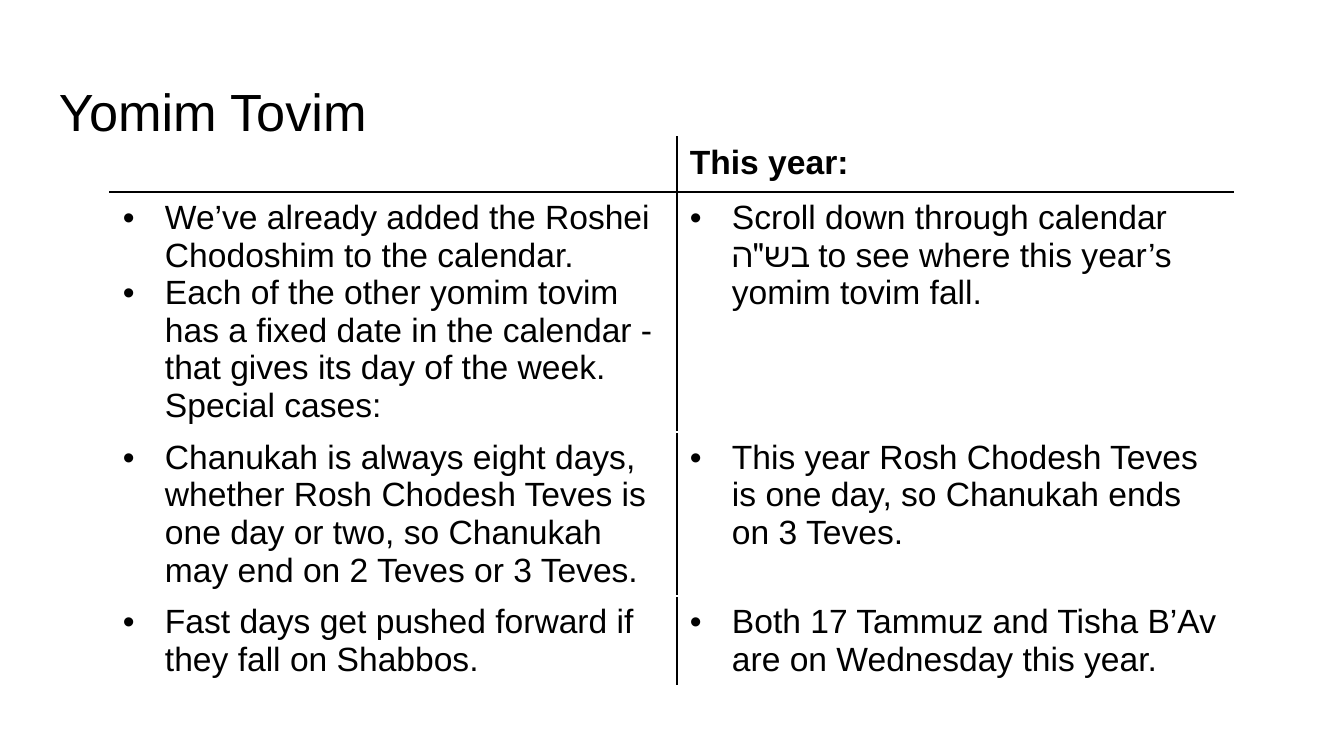
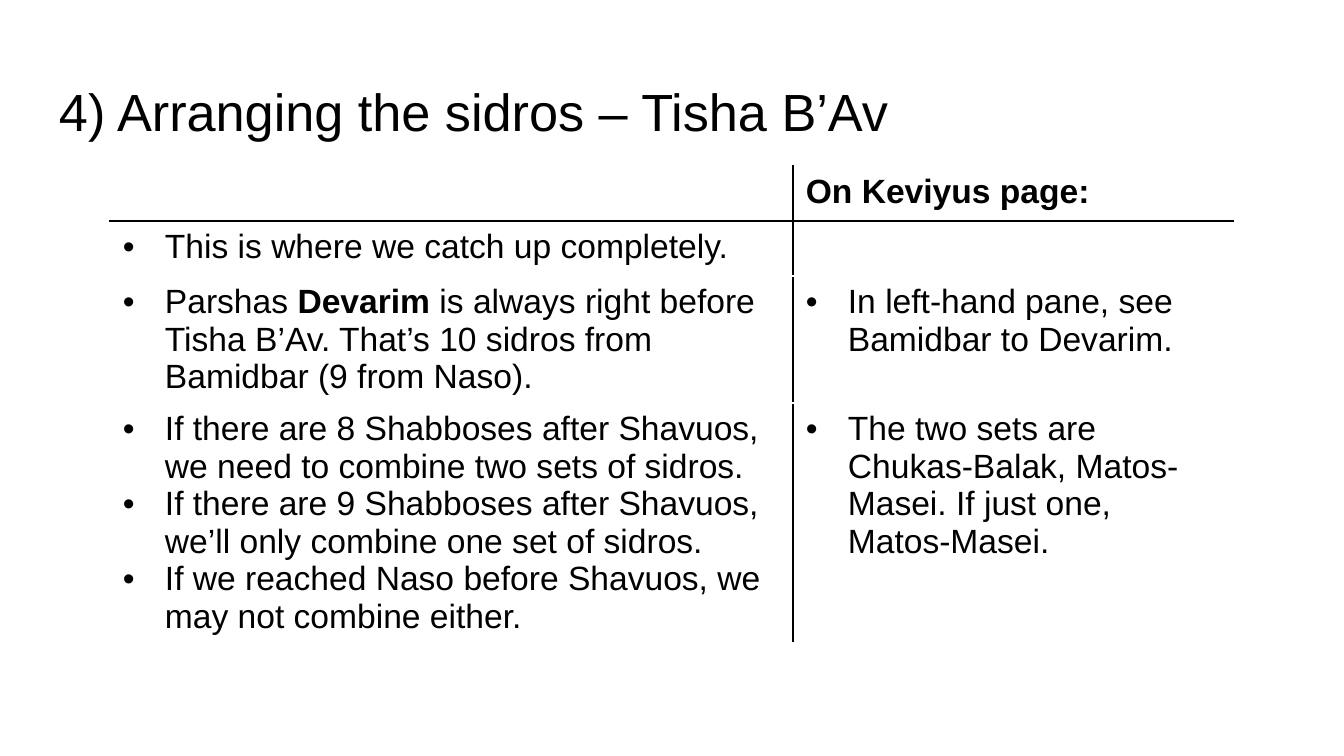
"""Build two slides that pair calendar rules with notes in a ruled table."""
from lxml.etree import SubElement
from pptx import Presentation
from pptx.dml.color import RGBColor
from pptx.enum.text import MSO_ANCHOR, MSO_AUTO_SIZE, PP_ALIGN
from pptx.oxml.ns import qn
from pptx.util import Emu, Pt

FONT = "Arial"
INK = {"text": "000000", "rule": "000000", "paper": "FFFFFF"}
SCALE = 914400 / 134.4
LEFT, ROW, INDENT = 110, 55, 42

SLIDES = [
    {
        "title": "Yomim Tovim",
        "top": 137,
        "high": 620,
        "cols": [567, 556],
        "head": "This year:",
        "rows": [
            (["We’ve already added the Roshei Chodoshim to the calendar.",
              "Each of the other yomim tovim has a fixed date in the calendar - "
              "that gives its day of the week.\nSpecial cases:"],
             ["Scroll down through calendar בש\"ה to see where this year’s "
              "yomim tovim fall."]),
            (["Chanukah is always eight days, whether Rosh Chodesh Teves is one day "
              "or two, so Chanukah may end on 2 Teves or 3 Teves."],
             ["This year Rosh Chodesh Teves is one day, so Chanukah ends on 3 Teves."]),
            (["Fast days get pushed forward if they fall on Shabbos."],
             ["Both 17 Tammuz and Tisha B’Av are on Wednesday this year."]),
        ],
    },
    {
        "title": "4) Arranging the sidros – Tisha B’Av",
        "top": 166,
        "high": 499,
        "cols": [683, 440],
        "head": "On Keviyus page:",
        "rows": [
            (["This is where we catch up completely."], []),
            (["Parshas **Devarim** is always right before Tisha B’Av. "
              "That’s 10 sidros from Bamidbar (9 from Naso)."],
             ["In left-hand pane, see Bamidbar to Devarim."]),
            (["If there are 8 Shabboses after Shavuos, we need to combine two sets "
              "of sidros.",
              "If there are 9 Shabboses after Shavuos, we’ll only combine one set "
              "of sidros.",
              "If we reached Naso before Shavuos, we may not combine either."],
             ["The two sets are Chukas-Balak, Matos-Masei. If just one, Matos-Masei."]),
        ],
    },
]


def px(count):
    return Emu(round(count * SCALE))


def write(para, text, size):
    for part, chunk in enumerate(text.split("**")):
        for step, line in enumerate(chunk.split("\n")):
            if step:
                para.add_line_break()
            if line:
                run = para.add_run()
                run.text = line
                run.font.name = FONT
                run.font.size = Pt(size)
                run.font.bold = part % 2 == 1
                run.font.color.rgb = RGBColor.from_string(INK["text"])


deck = Presentation()
deck.slide_width, deck.slide_height = px(1344), px(756)

for data in SLIDES:
    slide = deck.slides.add_slide(deck.slide_layouts[5])
    title = slide.shapes.title
    title.left, title.top, title.width, title.height = px(46), px(66), px(1252), px(84)
    frame = title.text_frame
    frame.margin_left = frame.margin_right = px(13)
    frame.margin_top = frame.margin_bottom = px(13)
    frame.auto_size = MSO_AUTO_SIZE.NONE
    frame.vertical_anchor = MSO_ANCHOR.TOP
    frame.paragraphs[0].alignment = PP_ALIGN.LEFT
    write(frame.paragraphs[0], data["title"], 28)

    rows = [([], [f"**{data['head']}**"])] + data["rows"]
    holder = slide.shapes.add_table(
        len(rows), 2, px(LEFT), px(data["top"]), px(sum(data["cols"])), px(ROW * len(rows)))
    table = holder.table
    table.first_row = table.horz_banding = False
    for col, wide in zip(table.columns, data["cols"]):
        col.width = px(wide)

    for r, row in enumerate(rows):
        for c, items in enumerate(row):
            cell = table.cell(r, c)
            cell.margin_left = cell.margin_right = px(13)
            cell.margin_top = cell.margin_bottom = px(7)
            body = cell.text_frame
            for n, text in enumerate(items):
                para = body.add_paragraph() if n else body.paragraphs[0]
                if r:
                    props = para._p.get_or_add_pPr()
                    props.set("marL", str(px(INDENT)))
                    props.set("indent", str(-px(INDENT)))
                    tint = SubElement(props, qn("a:buClr"))
                    SubElement(tint, qn("a:srgbClr"), val=INK["text"])
                    SubElement(props, qn("a:buFont"), typeface=FONT)
                    SubElement(props, qn("a:buChar"), char="•")
                write(para, text, 18)

            dark = {"L": c == 1, "R": c == 0, "T": r == 1, "B": r == 0}
            props = cell._tc.get_or_add_tcPr()
            for side, ruled in dark.items():
                line = SubElement(props, qn(f"a:ln{side}"), w=str(Pt(1)))
                solid = SubElement(line, qn("a:solidFill"))
                SubElement(solid, qn("a:srgbClr"), val=INK["rule" if ruled else "paper"])
            cell.fill.solid()
            cell.fill.fore_color.rgb = RGBColor.from_string(INK["paper"])
    holder.height = px(data["high"])

deck.save("out.pptx")
